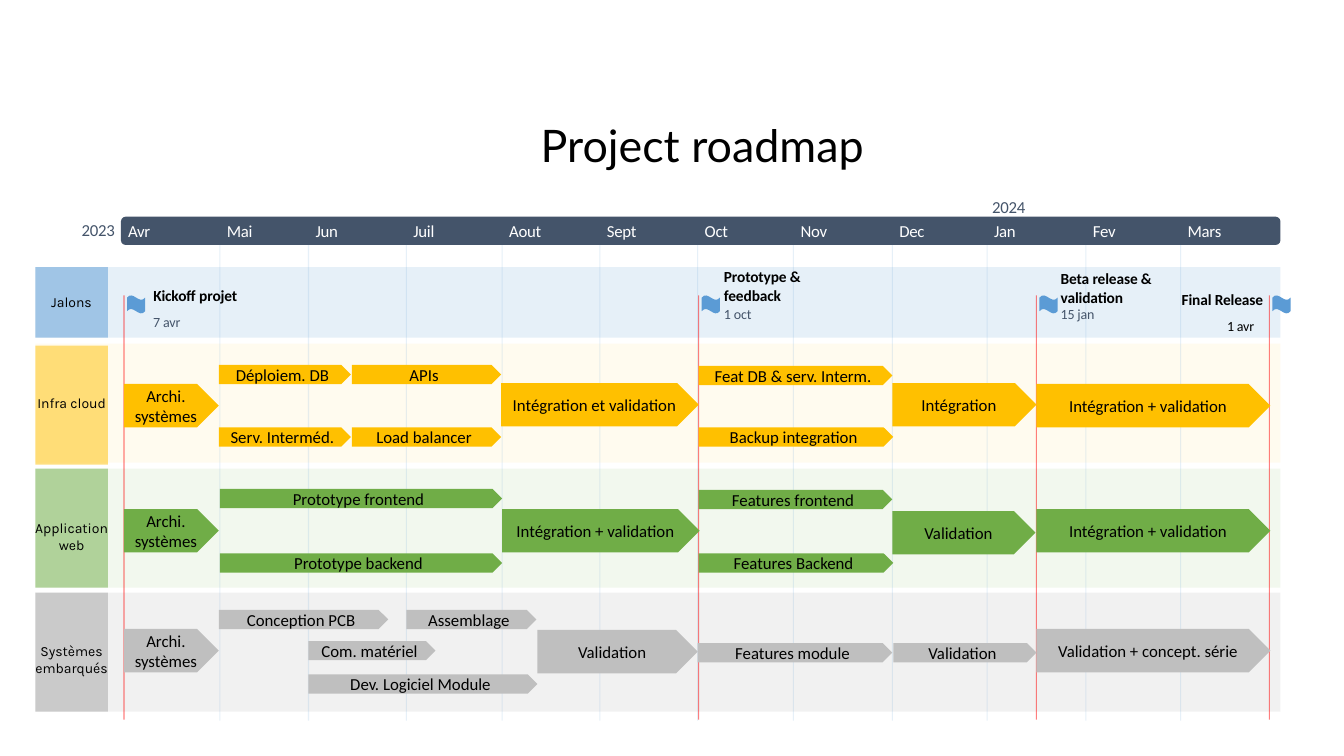
from lxml import etree
from pptx import Presentation
from pptx.dml.color import RGBColor
from pptx.enum.shapes import MSO_CONNECTOR, MSO_SHAPE, MSO_SHAPE_TYPE
from pptx.enum.text import MSO_ANCHOR, PP_ALIGN
from pptx.oxml.ns import qn
from pptx.util import Inches, Pt

RECTANGLE, ROUNDED = MSO_SHAPE.RECTANGLE, MSO_SHAPE.ROUNDED_RECTANGLE
ARROW, FLAG = MSO_SHAPE.PENTAGON, MSO_SHAPE.WAVE
STRAIGHT = MSO_CONNECTOR.STRAIGHT
AUTO_SHAPE = MSO_SHAPE_TYPE.AUTO_SHAPE
MIDDLE, TOP = MSO_ANCHOR.MIDDLE, MSO_ANCHOR.TOP
CENTER, LEFT = PP_ALIGN.CENTER, PP_ALIGN.LEFT

BLACK, WHITE, SLATE, BLUE, RED = "000000", "FFFFFF", "44546A", "5B9BD5", "FF0000"
AMBER, GREEN, GREY, SILVER = "FFC000", "70AD47", "A5A5A5", "BFBFBF"

TITLE = {"name": "Lato", "size": Pt(32)}
LANE_NAME = {"name": "Karla", "size": Pt(10)}
TASK = {"name": "Calibri", "size": Pt(12)}
MILESTONE = {"name": "Calibri", "size": Pt(11), "bold": True}
DATE = {"name": "Calibri", "size": Pt(10)}

BAND_LEFT, BAND_WIDTH, LABEL_WIDTH = 0.35, 12.35, 0.72
NAME_LEFT, NAME_WIDTH = 0.33, 0.76
AXIS_LEFT, AXIS_TOP, AXIS_HEIGHT = 1.2, 2.15, 0.28
MONTH_INSET, MONTH_WIDTH = 0.07, 0.5
THIN, THICK = 0.19, 0.43

# name, band top, label top, height, band colour, label colour, name top, name height
LANES = [
    ("Jalons", 2.65, 2.65, 0.7, BLUE, BLUE, 2.86, 0.27),
    ("Infra cloud", 3.41, 3.43, 1.18, "FFE699", AMBER, 3.92, 0.16),
    ("Application web", 4.65, 4.65, 1.18, "A9D18E", GREEN, 5.24, 0.16),
    ("Systèmes embarqués", 5.88, 5.88, 1.18, GREY, GREY, 6.46, 0.16),
]
# name, start of the month
MONTHS = [
    ("Avr", AXIS_LEFT), ("Mai", 2.18), ("Jun", 3.06), ("Juil", 4.03),
    ("Aout", 4.98), ("Sept", 5.95), ("Oct", 6.92), ("Nov", 7.87),
    ("Dec", 8.85), ("Jan", 9.79), ("Fev", 10.77), ("Mars", 11.71),
]
# line position, name, name box, date, date box, date colour
MILESTONES = [
    (1.23, "Kickoff projet", (1.52, 2.83, 0.92, 0.19),
     "7 avr", (1.52, 3.11, 0.36, 0.17), SLATE),
    (6.93, "Prototype & feedback", (7.18, 2.65, 0.82, 0.37),
     "1 oct", (7.18, 3.03, 0.38, 0.17), SLATE),
    (10.28, "Beta release & validation", (10.52, 2.67, 1.12, 0.37),
     "15 jan", (10.52, 3.03, 0.47, 0.17), SLATE),
    (12.59, "Final Release", (11.72, 2.87, 0.84, 0.19),
     "1 avr", (12.17, 3.15, 0.38, 0.17), BLACK),
]
# text, left, top, width, height
TASKS = {
    AMBER: [
        ("Archi. systèmes", 1.23, 3.81, 0.94, THICK),
        ("Déploiem. DB", 2.17, 3.62, 1.31, THIN),
        ("Serv. Interméd.", 2.17, 4.24, 1.31, THIN),
        ("APIs", 3.49, 3.62, 1.48, THIN),
        ("Load balancer", 3.49, 4.24, 1.48, THIN),
        ("Intégration et validation", 4.97, 3.8, 1.96, THICK),
        ("Feat DB & serv. Interm.", 6.93, 3.63, 1.92, THIN),
        ("Backup integration", 6.93, 4.24, 1.93, THIN),
        ("Intégration", 8.85, 3.8, 1.43, THICK),
        ("Intégration + validation", 10.28, 3.81, 2.32, THICK),
    ],
    GREEN: [
        ("Archi. systèmes", 1.23, 5.05, 0.94, THICK),
        ("Prototype frontend", 2.18, 4.85, 2.8, THIN),
        ("Prototype backend", 2.18, 5.49, 2.8, THIN),
        ("Intégration + validation", 4.98, 5.05, 1.96, THICK),
        ("Features frontend", 6.93, 4.86, 1.92, THIN),
        ("Features Backend", 6.93, 5.49, 1.93, THIN),
        ("Validation", 8.85, 5.07, 1.42, THICK),
        ("Intégration + validation", 10.28, 5.05, 2.32, THICK),
    ],
    SILVER: [
        ("Archi. systèmes", 1.23, 6.24, 0.94, THICK),
        ("Conception PCB", 2.17, 6.05, 1.68, THIN),
        ("Com. matériel", 3.06, 6.36, 1.26, THIN),
        ("Dev. Logiciel Module", 3.06, 6.69, 2.27, THIN),
        ("Assemblage", 4.03, 6.05, 1.29, THIN),
        ("Validation", 5.33, 6.25, 1.59, THICK),
        ("Features module", 6.92, 6.38, 1.93, THIN),
        ("Validation", 8.86, 6.38, 1.42, THIN),
        ("Validation + concept. série", 10.28, 6.24, 2.32, THICK),
    ],
}


def paint(fill, color, opacity=100):
    """Give a shape, line or font fill a solid colour; opacity is in percent."""
    fill.solid()
    fill.fore_color.rgb = RGBColor.from_string(color)
    if opacity < 100:
        solid = fill._xPr.find(qn("a:solidFill"))
        etree.SubElement(solid[0], qn("a:alpha")).set("val", str(opacity * 1000))


def write(shape, text, style, color, align=LEFT, spacing=0):
    """Fill a shape with one styled line; spacing is in hundredths of a point."""
    para = shape.text_frame.paragraphs[0]
    para.alignment = align
    span = para.add_run()
    span.text = text
    for name, value in style.items():
        setattr(span.font, name, value)
    paint(span.font.fill, color)
    if spacing:
        span.font._element.set("spc", str(spacing))


deck = Presentation()
deck.slide_width, deck.slide_height = Inches(13.33), Inches(7.5)
page = deck.slides.add_slide(deck.slide_layouts[6])

# Lane bands, lane labels and the month axis
backdrop = [(RECTANGLE, (BAND_LEFT, lane[1], BAND_WIDTH, lane[3]), lane[4], 15) for lane in LANES]
backdrop += [(RECTANGLE, (BAND_LEFT, lane[2], LABEL_WIDTH, lane[3]), lane[5], 50) for lane in LANES]
backdrop.append((ROUNDED, (AXIS_LEFT, AXIS_TOP, 11.5, AXIS_HEIGHT), SLATE, 100))
for kind, place, color, opacity in backdrop:
    shape = page.shapes.add_shape(kind, *map(Inches, place))
    paint(shape.fill, color, opacity)

# Milestone and month lines
rules = [(milestone[0], 2.93, 7.14, RED, 50) for milestone in MILESTONES]
rules += [(start, AXIS_TOP + AXIS_HEIGHT, 7.15, BLUE, 15) for _, start in MONTHS[1:]]
for x, top, bottom, color, opacity in rules:
    rule = page.shapes.add_connector(STRAIGHT, Inches(x), Inches(top), Inches(x), Inches(bottom))
    rule.line.width = Pt(0.75)
    paint(rule.line.fill, color, opacity)
    etree.SubElement(rule._element.spPr, qn("a:effectLst"))

# Text boxes: text, place, style, colour, alignment, letter spacing
notes = [(name, (NAME_LEFT, top, NAME_WIDTH, height), LANE_NAME, BLACK, CENTER, 0)
         for name, *_, top, height in LANES]
notes += [(name, (start + MONTH_INSET, 2.19, MONTH_WIDTH, 0.19), TASK, WHITE, LEFT, -20)
          for name, start in MONTHS]
notes += [("2023", (0.81, 2.18, 0.38, 0.2), TASK, SLATE, LEFT, -20),
          ("2024", (9.84, 1.95, 0.38, 0.2), TASK, SLATE, LEFT, -20)]
for _, name, name_place, date, date_place, date_color in MILESTONES:
    notes += [(name, name_place, MILESTONE, BLACK, LEFT, -10),
              (date, date_place, DATE, date_color, LEFT, -10)]
for text, place, *look in notes:
    box = page.shapes.add_textbox(*map(Inches, place))
    frame = box.text_frame
    frame.word_wrap = True
    frame.vertical_anchor = MIDDLE
    for side in ("left", "top", "right", "bottom"):
        setattr(frame, f"margin_{side}", 0)
    write(box, text, *look)

title = page.shapes.add_textbox(Inches(4.79), Inches(1.12), Inches(4.35), Inches(0.64))
title.text_frame.word_wrap = True
title.text_frame.vertical_anchor = TOP
write(title, "Project roadmap", TITLE, BLACK, CENTER)

for milestone in MILESTONES:
    flag = page.shapes.add_shape(FLAG, Inches(milestone[0] + 0.03), Inches(2.93), Inches(0.18), Inches(0.18))
    paint(flag.fill, BLUE)

for color, tasks in TASKS.items():
    for text, *place in tasks:
        arrow = page.shapes.add_shape(ARROW, *map(Inches, place))
        paint(arrow.fill, color)
        write(arrow, text, TASK, BLACK, CENTER)

for shape in page.shapes:
    if shape.shape_type == AUTO_SHAPE:
        shape.shadow.inherit = False
        shape.line.fill.background()

deck.save("out.pptx")
